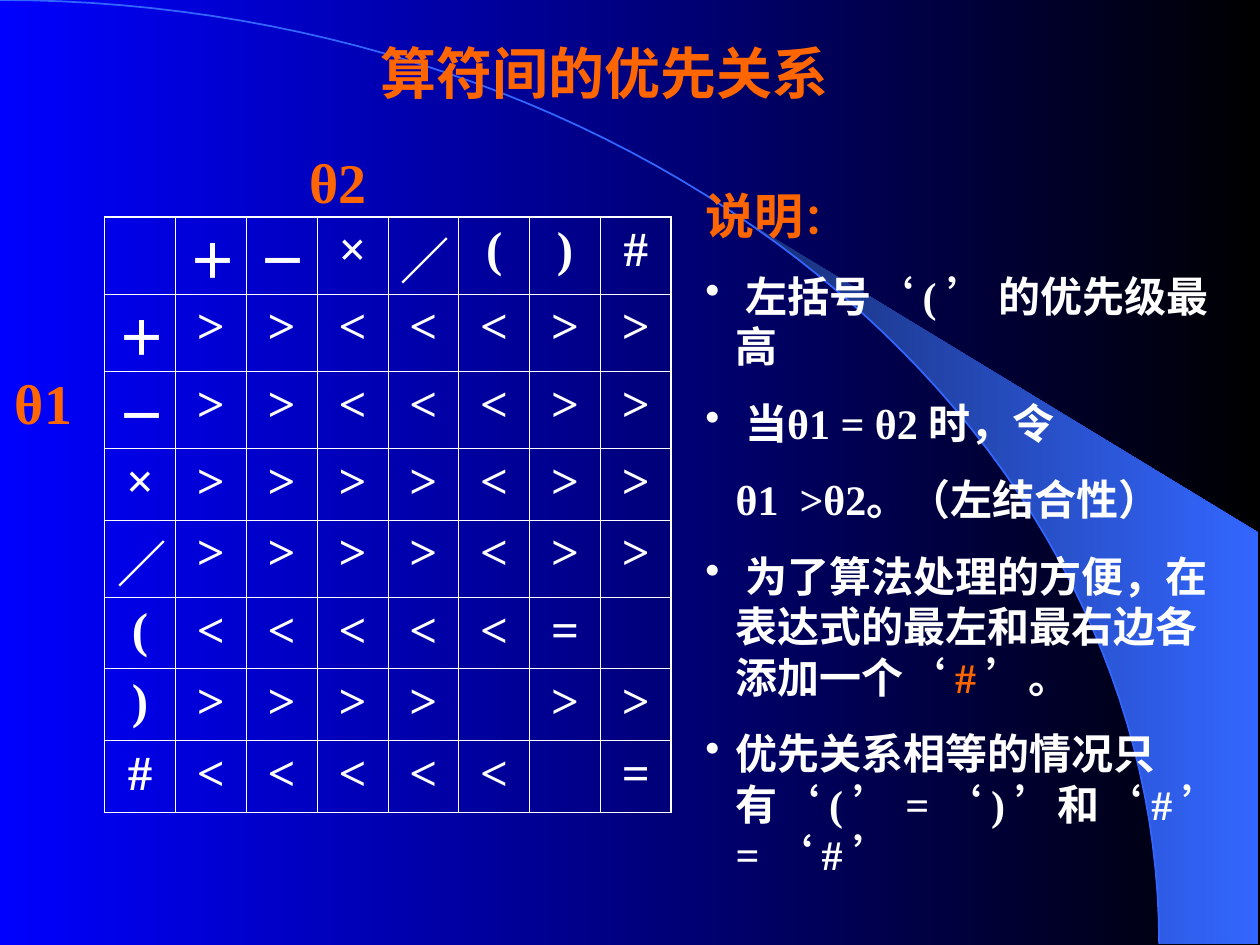
from math import cos, pi, sin

from lxml import etree
from pptx import Presentation
from pptx.dml.color import RGBColor
from pptx.enum.text import MSO_ANCHOR, MSO_AUTO_SIZE, PP_ALIGN
from pptx.oxml.ns import qn
from pptx.util import Inches, Pt

TOP = MSO_ANCHOR.TOP
MID = MSO_ANCHOR.MIDDLE
FIXED = MSO_AUTO_SIZE.NONE
LEFT = PP_ALIGN.LEFT
CENTER = PP_ALIGN.CENTER
FONT = "Times New Roman"
WHITE = RGBColor(0xFF, 0xFF, 0xFF)
BLACK = RGBColor(0, 0, 0)
BLUE = RGBColor(0, 0, 0xFF)
NAVY = RGBColor(0x18, 0x2F, 0x76)
SKY = RGBColor(0x33, 0x66, 0xFF)
ORANGE = RGBColor(0xFF, 0x66, 0)

SIGNS = "＋－×／()#"
RANKS = [">><<<>>", ">><<<>>", ">>>><>>", ">>>><>>",
         "<<<<<= ", ">>>> >>", "<<<<< ="]
NOTES = [
    (True, [(" 左括号‘ ( ’ 的优先级最高", WHITE)]),
    (True, [(" 当θ1 = θ2 时，令", WHITE)]),
    (False, [("θ1  >θ2。（左结合性）", WHITE)]),
    (True, [(" 为了算法处理的方便，在表达式的最左和最右边各添加一个‘ ", WHITE),
            ("# ", ORANGE), ("’。", WHITE)]),
    (True, [("优先关系相等的情况只有‘ ( ’ = ‘ ) ’和‘ # ’ = ‘ # ’", WHITE)]),
]


def add_run(para, text, size, color):
    """Append one bold run to a paragraph."""
    run = para.add_run()
    run.text = text
    font = run.font
    font.name, font.size, font.bold = FONT, Pt(size), True
    font.color.rgb = color


def blend(fill, start, end):
    """Fill from left to right between two colours."""
    fill.gradient()
    fill.gradient_angle = 0
    for place, (stop, color) in enumerate(
            zip(fill.gradient_stops, (start, end))):
        stop.color.rgb = color
        stop.position = place


def arc_points(width, height, first):
    """Return points on a quarter ellipse from a given angle down to its foot."""
    steps = 60
    turns = [first + (pi / 2 - first) * i / steps for i in range(steps + 1)]
    return [(Inches(width * sin(t)), Inches(height * (1 - cos(t))))
            for t in turns]


def add_path(slide, points, close):
    """Draw a freeform through the points."""
    pen = slide.shapes.build_freeform(*points[0])
    pen.add_line_segments(points[1:], close=close)
    shape = pen.convert_to_shape()
    shape.shadow.inherit = False
    return shape


def add_decor(slide, width, height):
    """Draw the backdrop, the shaded wing and the arc."""
    blend(slide.background.fill, BLUE, BLACK)
    edge = [(Inches(9.99), Inches(height)), (Inches(9.99), Inches(4.23))]
    wing = add_path(slide, arc_points(width, height, 0.695) + edge, True)
    blend(wing.fill, NAVY, SKY)
    wing.line.fill.background()
    arc = add_path(slide, arc_points(width, height, 0), False)
    arc.fill.background()
    arc.line.color.rgb = SKY
    arc.line.width = Pt(1)


def set_line(frame, text):
    """Fill a frame with one heading line that has room to its right edge."""
    frame.word_wrap = True
    frame.auto_size = FIXED
    frame.margin_right = 0
    frame.vertical_anchor = MID
    frame.paragraphs[0].alignment = LEFT
    add_run(frame.paragraphs[0], text, 32, ORANGE)


def add_title(slide, left, top, width, height):
    """Place the slide title above the decor."""
    title = slide.shapes.title
    slide.shapes._spTree.append(title._element)
    title.left, title.top = Inches(left), Inches(top)
    title.width, title.height = Inches(width), Inches(height)
    set_line(title.text_frame, "算符间的优先关系")


def add_label(slide, text, left, top):
    """Place an axis label of the table."""
    box = slide.shapes.add_textbox(
        Inches(left), Inches(top), Inches(0.65), Inches(0.64))
    set_line(box.text_frame, text)


def set_edges(cell, widths):
    """Give a cell white borders, in order left, right, top, bottom."""
    props = cell._tc.get_or_add_tcPr()
    for i, (side, width) in enumerate(zip("LRTB", widths)):
        line = etree.Element(qn(f"a:ln{side}"), w=str(Pt(width)))
        fill = etree.SubElement(line, qn("a:solidFill"))
        etree.SubElement(fill, qn("a:srgbClr"), val=str(WHITE))
        props.insert(i, line)


def add_ranks(slide, left, top, width, height):
    """Build the table of operator precedence."""
    rows = [" " + SIGNS] + [s + r for s, r in zip(SIGNS, RANKS)]
    count = len(rows)
    table = slide.shapes.add_table(
        count, count, Inches(left), Inches(top),
        Inches(width), Inches(height)).table
    table.first_row = table.horz_banding = False
    last = count - 1
    for i, row in enumerate(rows):
        for j, sign in enumerate(row):
            cell = table.cell(i, j)
            cell.fill.background()
            cell.margin_bottom = 0
            edges = (j == 0, j == last, i == 0, i == last)
            set_edges(cell, [1.08 if edge else 0.45 for edge in edges])
            para = cell.text_frame.paragraphs[0]
            para.alignment = CENTER
            if sign != " ":
                add_run(para, sign, 28, WHITE)


def set_indent(para, bullet):
    """Indent a note and hang its bullet if it has one."""
    props = para._p.get_or_add_pPr()
    props.set("marL", str(Inches(0.24)))
    if bullet:
        props.set("indent", str(Inches(-0.24)))
        tint = etree.SubElement(props, qn("a:buClr"))
        etree.SubElement(tint, qn("a:srgbClr"), val=str(WHITE))
        etree.SubElement(props, qn("a:buChar"), char="•")


def add_notes(slide, left, top, width, height):
    """Write the explanation beside the table."""
    box = slide.shapes.add_textbox(
        Inches(left), Inches(top), Inches(width), Inches(height))
    frame = box.text_frame
    frame.word_wrap = True
    frame.vertical_anchor = TOP
    head = frame.paragraphs[0]
    add_run(head, "说明", 28, ORANGE)
    add_run(head, "：", 24, ORANGE)
    for bullet, runs in NOTES:
        para = frame.add_paragraph()
        set_indent(para, bullet)
        para.space_before = Pt(15)
        for text, color in runs:
            add_run(para, text, 24, color)


def main():
    """Build the slide and save it."""
    deck = Presentation()
    deck.slide_width, deck.slide_height = Inches(10), Inches(7.5)
    slide = deck.slides.add_slide(deck.slide_layouts[5])
    add_decor(slide, 9.2, 7.49)
    add_title(slide, 2.92, 0.25, 3.76, 0.64)
    add_ranks(slide, 0.83, 1.72, 4.5, 4.56)
    add_notes(slide, 5.5, 1.42, 4.42, 4.81)
    add_label(slide, "θ1", 0.02, 2.87)
    add_label(slide, "θ2", 2.36, 1.12)
    deck.save("out.pptx")


if __name__ == "__main__":
    main()
